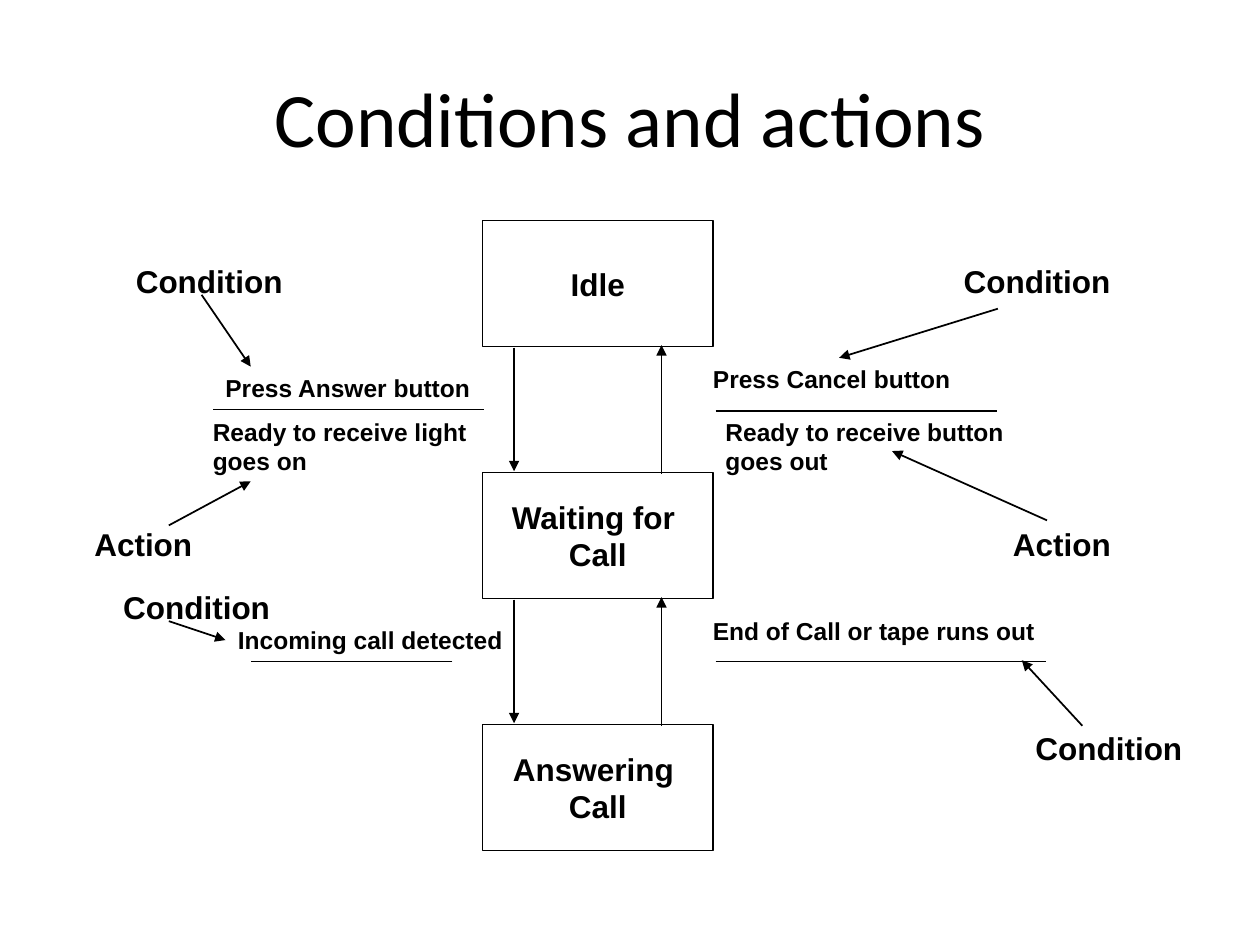
from dataclasses import dataclass

from lxml import etree
from pptx import Presentation
from pptx import util as u
from pptx.dml.color import RGBColor
from pptx.enum import shapes, text
from pptx.oxml.ns import qn


@dataclass(frozen=True)
class Theme:
    ink: RGBColor = RGBColor(0, 0, 0)
    paper: RGBColor = RGBColor(255, 255, 255)
    title_font: str = "Calibri"
    body_font: str = "Arial"
    title_size: int = 44
    label_size: int = 18
    detail_size: int = 14
    line_width: int = 1


THEME = Theme()

# State boxes, top to bottom
STATES = [["Idle"], ["Waiting for ", "Call"], ["Answering ", "Call"]]
STATE_LEFT, STATE_TOP, STATE_STEP = 3.83, 1.75, 2
STATE_WIDTH, STATE_HEIGHT = 1.83, 1
DOWN_X, UP_X = 4.08, 5.25

# Rules between a condition and its action: start and end points
RULES = [
    (3.84, 3.25, 1.69, 3.25),
    (3.59, 5.25, 1.99, 5.25),
    (5.68, 5.25, 8.3, 5.25),
    (5.68, 3.26, 7.91, 3.26),
]

# Transition texts: left, top, width, lines
TRANSITIONS = [
    (1.69, 2.91, 2.15, ["Press Answer button"]),
    (1.59, 3.26, 2.21, ["Ready to receive light", "goes on"]),
    (1.79, 4.91, 2.3, ["Incoming call detected"]),
    (5.56, 4.84, 2.76, ["End of Call or tape runs out"]),
    (5.56, 2.84, 2.08, ["Press Cancel button"]),
    (5.66, 3.26, 2.46, ["Ready to receive button", "goes out"]),
]

# Callout words: left, top
CALLOUT_WIDTHS = {"Condition": 1.36, "Action": 0.98}
CALLOUTS = {
    "Condition": [(0.98, 2.03), (0.88, 4.62), (7.55, 2.03), (8.12, 5.74)],
    "Action": [(0.65, 4.12), (7.94, 4.12)],
}

# Pointers from a callout word to its transition text
POINTERS = [
    (1.6, 2.34, 1.99, 2.91),
    (1.34, 4.17, 1.99, 3.82),
    (1.34, 4.93, 1.79, 5.08),
    (8.31, 4.13, 7.08, 3.58),
    (7.92, 2.45, 6.66, 2.84),
    (8.59, 5.76, 8.11, 5.24),
]


def write_lines(frame, lines, size, font=THEME.body_font, bold=True,
                align=text.PP_ALIGN.LEFT):
    for index, line in enumerate(lines):
        paragraph = frame.add_paragraph() if index else frame.paragraphs[0]
        paragraph.alignment = align
        run = paragraph.add_run()
        run.text = line
        run.font.size = u.Pt(size)
        run.font.name = font
        run.font.bold = bold
        run.font.color.rgb = THEME.ink


def add_title(slide, title):
    heading = slide.shapes.add_textbox(
        u.Inches(0.5), u.Inches(0.3), u.Inches(9), u.Inches(1.25))
    frame = heading.text_frame
    frame.word_wrap = True
    frame.vertical_anchor = text.MSO_ANCHOR.MIDDLE
    write_lines(frame, [title], THEME.title_size, THEME.title_font, False,
                text.PP_ALIGN.CENTER)


def add_state(slide, top, lines):
    state = slide.shapes.add_shape(
        shapes.MSO_SHAPE.RECTANGLE, u.Inches(STATE_LEFT), u.Inches(top),
        u.Inches(STATE_WIDTH), u.Inches(STATE_HEIGHT))
    state.shadow.inherit = False
    state.fill.solid()
    state.fill.fore_color.rgb = THEME.paper
    state.line.color.rgb = THEME.ink
    state.line.width = u.Pt(THEME.line_width)
    frame = state.text_frame
    frame.word_wrap = False
    frame.vertical_anchor = text.MSO_ANCHOR.MIDDLE
    write_lines(frame, lines, THEME.label_size, align=text.PP_ALIGN.CENTER)


def add_label(slide, left, top, width, lines, size):
    height = 0.1 + len(lines) * size / 60
    label = slide.shapes.add_textbox(
        u.Inches(left), u.Inches(top), u.Inches(width), u.Inches(height))
    frame = label.text_frame
    frame.word_wrap = False
    # A narrow right margin leaves each line room to stay whole
    frame.margin_right = u.Inches(0.04)
    write_lines(frame, lines, size)


def add_line(slide, ends, arrow=False):
    line = slide.shapes.add_connector(
        shapes.MSO_CONNECTOR.STRAIGHT, *(u.Inches(value) for value in ends))
    line.line.color.rgb = THEME.ink
    line.line.width = u.Pt(THEME.line_width)
    if arrow:
        etree.SubElement(line.line._get_or_add_ln(), qn("a:tailEnd"),
                         type="triangle")
    etree.SubElement(line._element.spPr, qn("a:effectLst"))


def main():
    deck = Presentation()
    deck.slide_width, deck.slide_height = u.Inches(10), u.Inches(7.5)
    slide = deck.slides.add_slide(deck.slide_layouts[6])

    add_title(slide, "Conditions and actions")

    # States and the arrows between neighbours
    for index, lines in enumerate(STATES):
        top = STATE_TOP + index * STATE_STEP
        add_state(slide, top, lines)
    for index in range(len(STATES) - 1):
        bottom = STATE_TOP + index * STATE_STEP + STATE_HEIGHT
        below = STATE_TOP + (index + 1) * STATE_STEP
        add_line(slide, (DOWN_X, bottom + 0.01, DOWN_X, below - 0.01), True)
        add_line(slide, (UP_X, below + 0.01, UP_X, bottom - 0.01), True)

    # Transitions: condition over action
    for rule in RULES:
        add_line(slide, rule)
    for left, top, width, lines in TRANSITIONS:
        add_label(slide, left, top, width, lines, THEME.detail_size)

    # Callouts and their pointers
    for word, places in CALLOUTS.items():
        for left, top in places:
            add_label(slide, left, top, CALLOUT_WIDTHS[word], [word],
                      THEME.label_size)
    for pointer in POINTERS:
        add_line(slide, pointer, True)

    deck.save("out.pptx")


if __name__ == "__main__":
    main()
